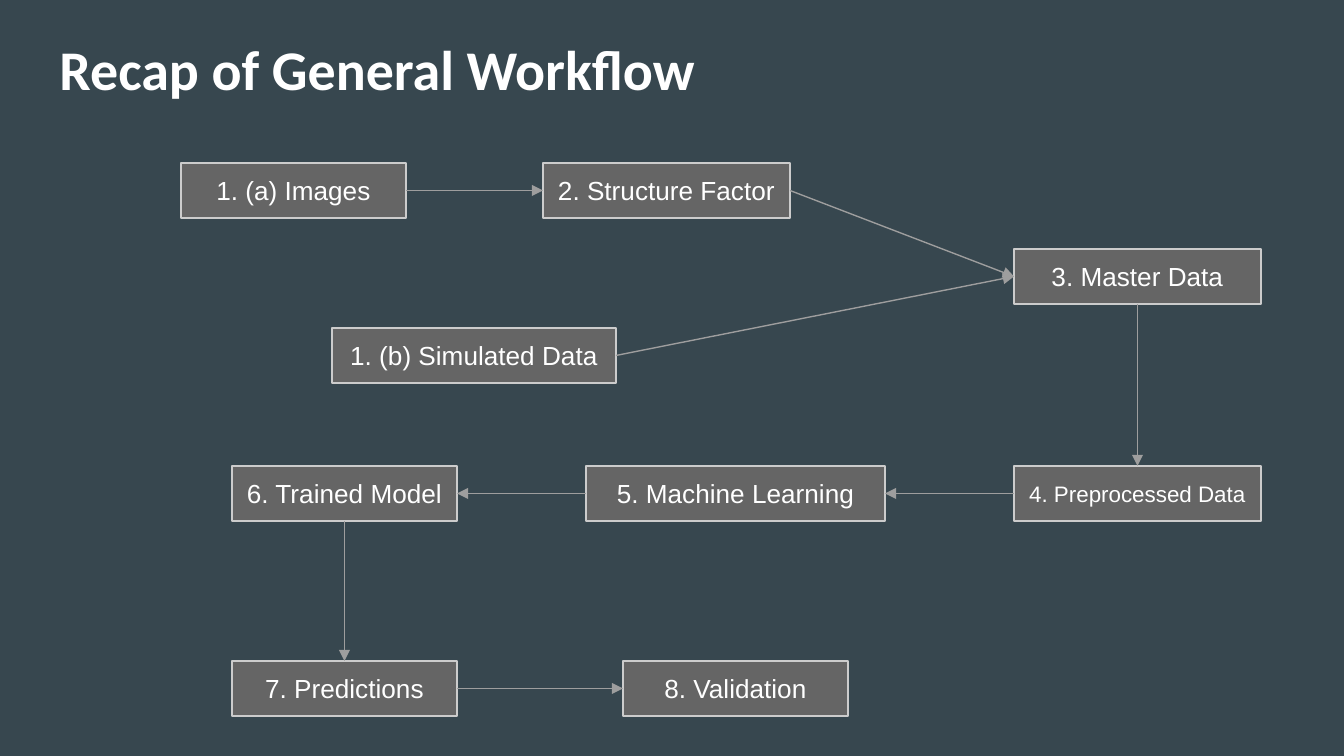
from lxml import etree
from pptx import Presentation
from pptx import util as u
from pptx.dml.color import RGBColor
from pptx.enum import shapes, text
from pptx.oxml.ns import qn

PX = 914400 / 134.4
TOP, LEFT, BOTTOM, RIGHT = range(4)


def px(n):
    return u.Emu(round(n * PX))


def color(value):
    return RGBColor.from_string(value)


def apply(target, values):
    for name, value in values.items():
        setattr(target, name, value)


class Deck:
    background = "37474F"
    box_fill = "656565"
    box_line = "CCCCCC"
    arrow_line = "9E9E9E"
    ink = "FFFFFF"
    line_width = u.Pt(0.75)
    box_height = 55
    frame = dict(margin_left=u.Inches(0.1), margin_right=u.Inches(0.1),
                 margin_top=u.Inches(0.1), margin_bottom=u.Inches(0.1),
                 word_wrap=True, auto_size=text.MSO_AUTO_SIZE.NONE)
    title_font = dict(name="Calibri", size=u.Pt(30), bold=True)

    def __init__(self, prs):
        self.s = prs.slides.add_slide(prs.slide_layouts[5])
        fill = self.s.background.fill
        fill.solid()
        fill.fore_color.rgb = color(self.background)

    def label(self, sp, words, font, align, anchor):
        tf = sp.text_frame
        apply(tf, self.frame)
        tf.vertical_anchor = anchor
        p = tf.paragraphs[0]
        p.alignment = align
        r = p.add_run()
        r.text = words
        apply(r.font, font)
        r.font.color.rgb = color(self.ink)

    def title(self, words, x, y, w, h):
        sp = self.s.shapes.title
        apply(sp, dict(left=px(x), top=px(y), width=px(w), height=px(h)))
        self.label(sp, words, self.title_font,
                   text.PP_ALIGN.LEFT, text.MSO_ANCHOR.TOP)

    def box(self, words, x, y, w, size=14):
        sp = self.s.shapes.add_shape(shapes.MSO_SHAPE.RECTANGLE,
                                     px(x), px(y), px(w), px(self.box_height))
        sp.shadow.inherit = False
        sp.fill.solid()
        sp.fill.fore_color.rgb = color(self.box_fill)
        sp.line.color.rgb = color(self.box_line)
        sp.line.width = self.line_width
        self.label(sp, words, dict(name="Arial", size=u.Pt(size)),
                   text.PP_ALIGN.CENTER, text.MSO_ANCHOR.MIDDLE)
        return sp

    def arrow(self, start, start_side, end, end_side):
        c = self.s.shapes.add_connector(shapes.MSO_CONNECTOR.STRAIGHT, 0, 0, 0, 0)
        c.begin_connect(start, start_side)
        c.end_connect(end, end_side)
        c.line.color.rgb = color(self.arrow_line)
        c.line.width = self.line_width
        properties = c.element.spPr
        ln = properties.find(qn("a:ln"))
        etree.SubElement(ln, qn("a:tailEnd"), type="triangle", w="med", len="med")
        etree.SubElement(properties, qn("a:effectLst"))


def main():
    prs = Presentation()
    apply(prs, dict(slide_width=px(1344), slide_height=px(756)))
    deck = Deck(prs)
    deck.title("Recap of General Workflow", 46, 21, 1253, 85)

    row_1, row_2, row_3 = 163, 466, 661
    simulated = deck.box("1. (b) Simulated Data", 332, 328, 284)
    images = deck.box("1. (a) Images", 181, row_1, 225)
    factor = deck.box("2. Structure Factor", 543, row_1, 247)
    master = deck.box("3. Master Data", 1014, 249, 247)
    preprocessed = deck.box("4. Preprocessed Data", 1014, row_2, 247, 12)
    learning = deck.box("5. Machine Learning", 586, row_2, 299)
    trained = deck.box("6. Trained Model", 232, row_2, 225)
    predictions = deck.box("7. Predictions", 232, row_3, 225)
    validation = deck.box("8. Validation", 623, row_3, 225)

    for link in [
        (master, BOTTOM, preprocessed, TOP),
        (images, RIGHT, factor, LEFT),
        (factor, RIGHT, master, LEFT),
        (simulated, RIGHT, master, LEFT),
        (preprocessed, LEFT, learning, RIGHT),
        (learning, LEFT, trained, RIGHT),
        (trained, BOTTOM, predictions, TOP),
        (predictions, RIGHT, validation, LEFT),
    ]:
        deck.arrow(*link)

    prs.save("out.pptx")


if __name__ == "__main__":
    main()
